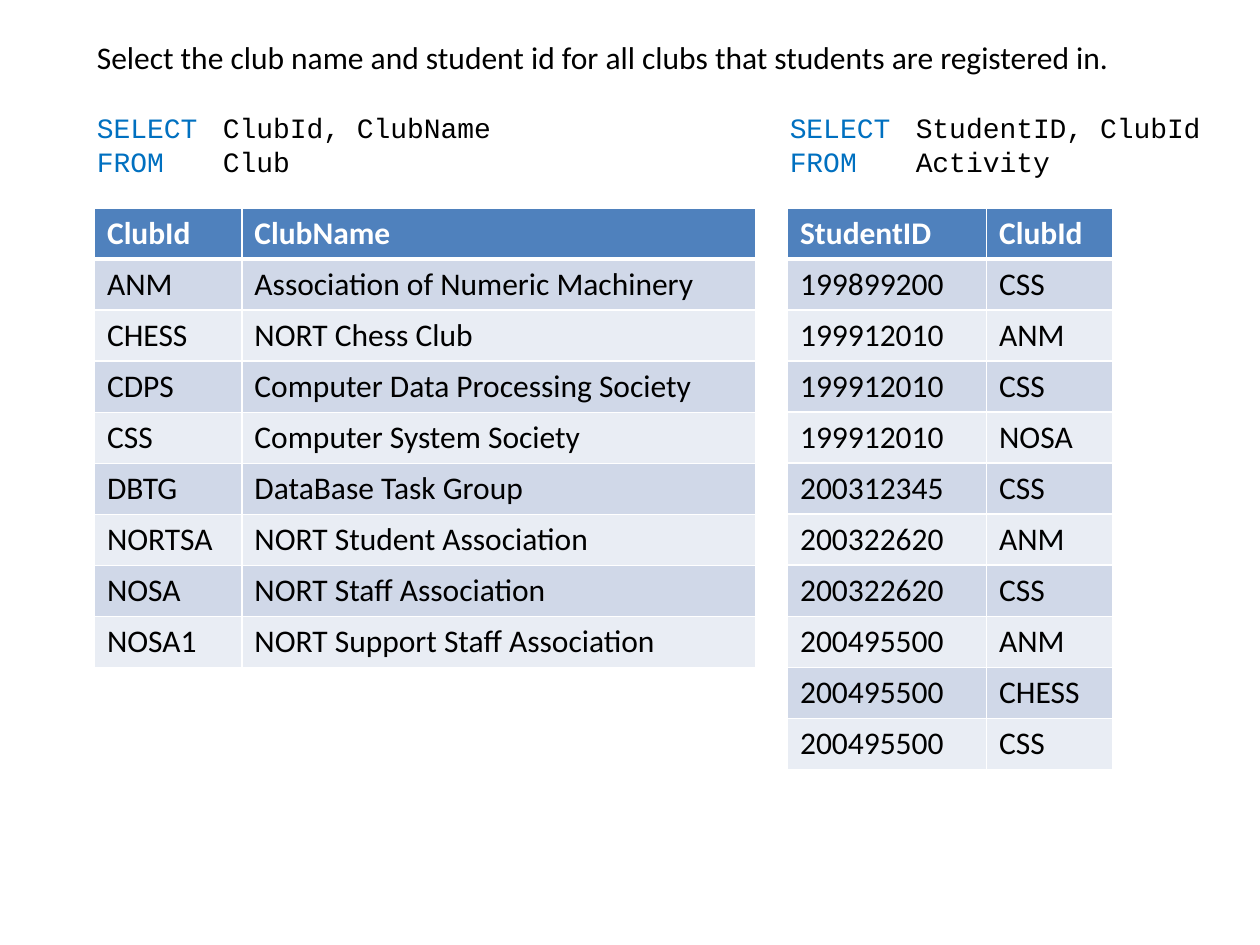
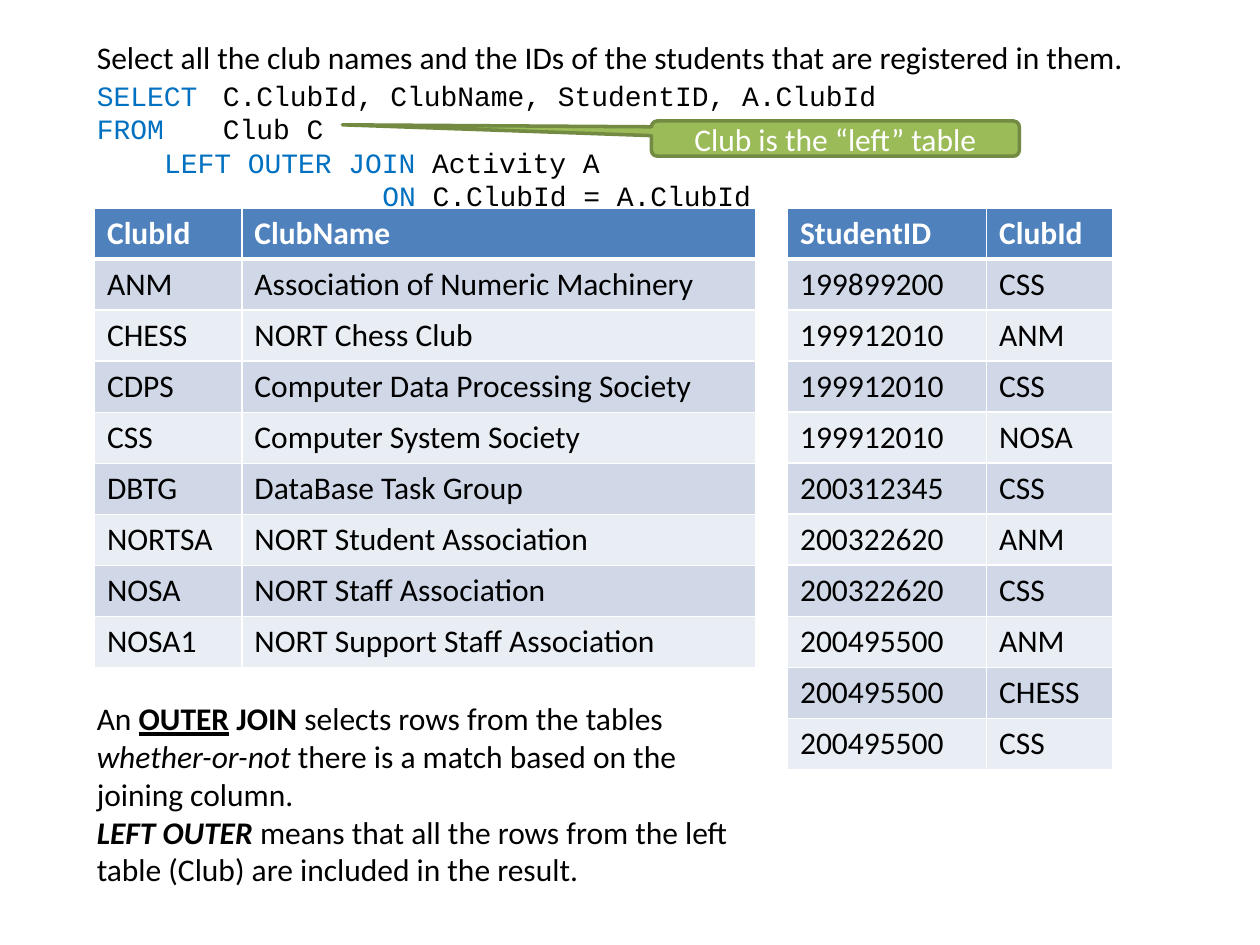
from dataclasses import dataclass

from lxml.etree import SubElement
from pptx import Presentation
from pptx.dml.color import RGBColor
from pptx.enum.shapes import MSO_SHAPE
from pptx.enum.text import MSO_ANCHOR, MSO_AUTO_SIZE, PP_ALIGN
from pptx.oxml.ns import qn
from pptx.util import Inches, Pt


@dataclass(frozen=True)
class Theme:
    body: str = "Calibri"
    mono: str = "Courier New"
    size: int = 18
    code: int = 16
    ink: str = "000000"
    white: str = "FFFFFF"
    key: str = "0070C0"
    head: str = "4F81BD"
    dark: str = "D0D8E8"
    light: str = "E9EDF4"
    note: str = "9BBB59"
    edge: str = "738A42"


THEME = Theme()
CHAR = 0.6 * THEME.code / 72
LEFT = 0.67
RIGHT = 6.17

CLUBS = [
    ("ClubId", "ClubName"),
    ("ANM", "Association of Numeric Machinery"),
    ("CHESS", "NORT Chess Club"),
    ("CDPS", "Computer Data Processing Society"),
    ("CSS", "Computer System Society"),
    ("DBTG", "DataBase Task Group"),
    ("NORTSA", "NORT Student Association"),
    ("NOSA", "NORT Staff Association"),
    ("NOSA1", "NORT Support Staff Association"),
]
ACTS = [
    ("StudentID", "ClubId"),
    ("199899200", "CSS"),
    ("199912010", "ANM"),
    ("199912010", "CSS"),
    ("199912010", "NOSA"),
    ("200312345", "CSS"),
    ("200322620", "ANM"),
    ("200322620", "CSS"),
    ("200495500", "ANM"),
    ("200495500", "CHESS"),
    ("200495500", "CSS"),
]


def write(para, text, font=THEME.body, size=THEME.size, color=THEME.ink,
          bold=False, italic=False, under=False):
    run = para.add_run()
    run.text = text
    face = run.font
    face.name, face.size = font, Pt(size)
    face.color.rgb = RGBColor.from_string(color)
    face.bold, face.italic, face.underline = bold, italic, under


class Deck:
    def __init__(self, theme):
        self.theme = theme
        self.show = Presentation()
        self.show.slide_width = Inches(10)
        self.show.slide_height = Inches(7.5)
        self.slide = None

    def page(self, title):
        self.slide = self.show.slides.add_slide(self.show.slide_layouts[6])
        self.text(LEFT, 0.25, 8.58, 0.4, [[(title, {})]])

    def text(self, left, top, width, height, lines):
        box = self.slide.shapes.add_textbox(
            Inches(left), Inches(top), Inches(width), Inches(height))
        frame = box.text_frame
        frame.word_wrap = True
        frame.auto_size = MSO_AUTO_SIZE.SHAPE_TO_FIT_TEXT
        for row, line in enumerate(lines):
            para = frame.add_paragraph() if row else frame.paragraphs[0]
            for words, style in line:
                write(para, words, **style)
        return frame

    def code(self, left, top, width, height, lines):
        look = {"font": self.theme.mono, "size": self.theme.code}
        rows = [[(key, {**look, "color": self.theme.key}), (rest, look)]
                for key, rest, _ in lines]
        frame = self.text(left, top, width, height, rows)
        for para, (_, _, pad) in zip(frame.paragraphs, lines):
            props = para._p.get_or_add_pPr()
            props.set("marL", str(Inches(pad * CHAR)))
            props.set("indent", "0")
            if not pad:
                tabs = SubElement(props, qn("a:tabLst"))
                SubElement(tabs, qn("a:tab"), pos=str(Inches(8 * CHAR)), algn="l")

    def border(self, cell, side, width):
        line = SubElement(cell._tc.get_or_add_tcPr(), qn("a:ln" + side),
                          w=str(Pt(width)))
        fill = SubElement(line, qn("a:solidFill"))
        SubElement(fill, qn("a:srgbClr"), val=self.theme.white)

    def table(self, left, height, widths, data):
        grid = self.slide.shapes.add_table(
            len(data), len(widths), Inches(left), Inches(1.65),
            Inches(sum(widths)), Inches(height)).table
        for col, width in zip(grid.columns, widths):
            col.width = Inches(width)
        for row, items in enumerate(data):
            head = row == 0
            fill = self.theme.head if head else (
                self.theme.dark if row % 2 else self.theme.light)
            for col, item in enumerate(items):
                cell = grid.cell(row, col)
                for side in "LRTB":
                    thick = (side, row) in (("B", 0), ("T", 1))
                    self.border(cell, side, 3 if thick else 1)
                cell.fill.solid()
                cell.fill.fore_color.rgb = RGBColor.from_string(fill)
                write(cell.text_frame.paragraphs[0], item, bold=head,
                      color=self.theme.white if head else self.theme.ink)

    def pair(self):
        self.table(0.75, 3.65, (1.17, 4.08), CLUBS)
        self.table(6.25, 4.46, (1.58, 1), ACTS)

    def callout(self, left, top, width, height, text):
        shape = self.slide.shapes.add_shape(
            MSO_SHAPE.ROUNDED_RECTANGULAR_CALLOUT,
            Inches(left), Inches(top), Inches(width), Inches(height))
        for spot, value in enumerate((-1.34, -0.39, 0.17)):
            shape.adjustments[spot] = value
        shape.shadow.inherit = False
        shape.fill.solid()
        shape.fill.fore_color.rgb = RGBColor.from_string(self.theme.note)
        shape.line.color.rgb = RGBColor.from_string(self.theme.edge)
        shape.line.width = Pt(2)
        frame = shape.text_frame
        frame.word_wrap = True
        frame.vertical_anchor = MSO_ANCHOR.MIDDLE
        para = frame.paragraphs[0]
        para.alignment = PP_ALIGN.CENTER
        write(para, text, color=self.theme.white)


def main():
    deck = Deck(THEME)

    deck.page("Select the club name and student id for all clubs "
              "that students are registered in.")
    deck.code(LEFT, 0.83, 4.58, 0.64, [
        ("SELECT", "\tClubId, ClubName", 0),
        ("FROM", "\tClub", 0),
    ])
    deck.code(RIGHT, 0.83, 3.67, 0.64, [
        ("SELECT", "\tStudentID, ClubId", 0),
        ("FROM", "\tActivity", 0),
    ])
    deck.pair()

    deck.page("Select all the club names and the IDs of the students "
              "that are registered in them.")
    deck.code(LEFT, 0.57, 8.42, 1.18, [
        ("SELECT", "\tC.ClubId, ClubName, StudentID, A.ClubId", 0),
        ("FROM", "\tClub C", 0),
        ("LEFT OUTER JOIN", " Activity A", 4),
        ("ON", " C.ClubId = A.ClubId", 17),
    ])
    deck.pair()
    deck.text(LEFT, 5.5, 5.33, 1.62, [
        [("An ", {}),
         ("OUTER", {"bold": True, "under": True}),
         (" JOIN ", {"bold": True}),
         ("selects rows from the tables ", {}),
         ("whether-or-not", {"italic": True}),
         (" there is a match based on the joining column.", {})],
        [("LEFT OUTER", {"bold": True, "italic": True}),
         (" means that all the rows from the left table (Club) "
          "are included in the result.", {})],
    ])
    deck.callout(5.17, 0.96, 2.92, 0.28, "Club is the “left” table")

    deck.show.save("out.pptx")


if __name__ == "__main__":
    main()
